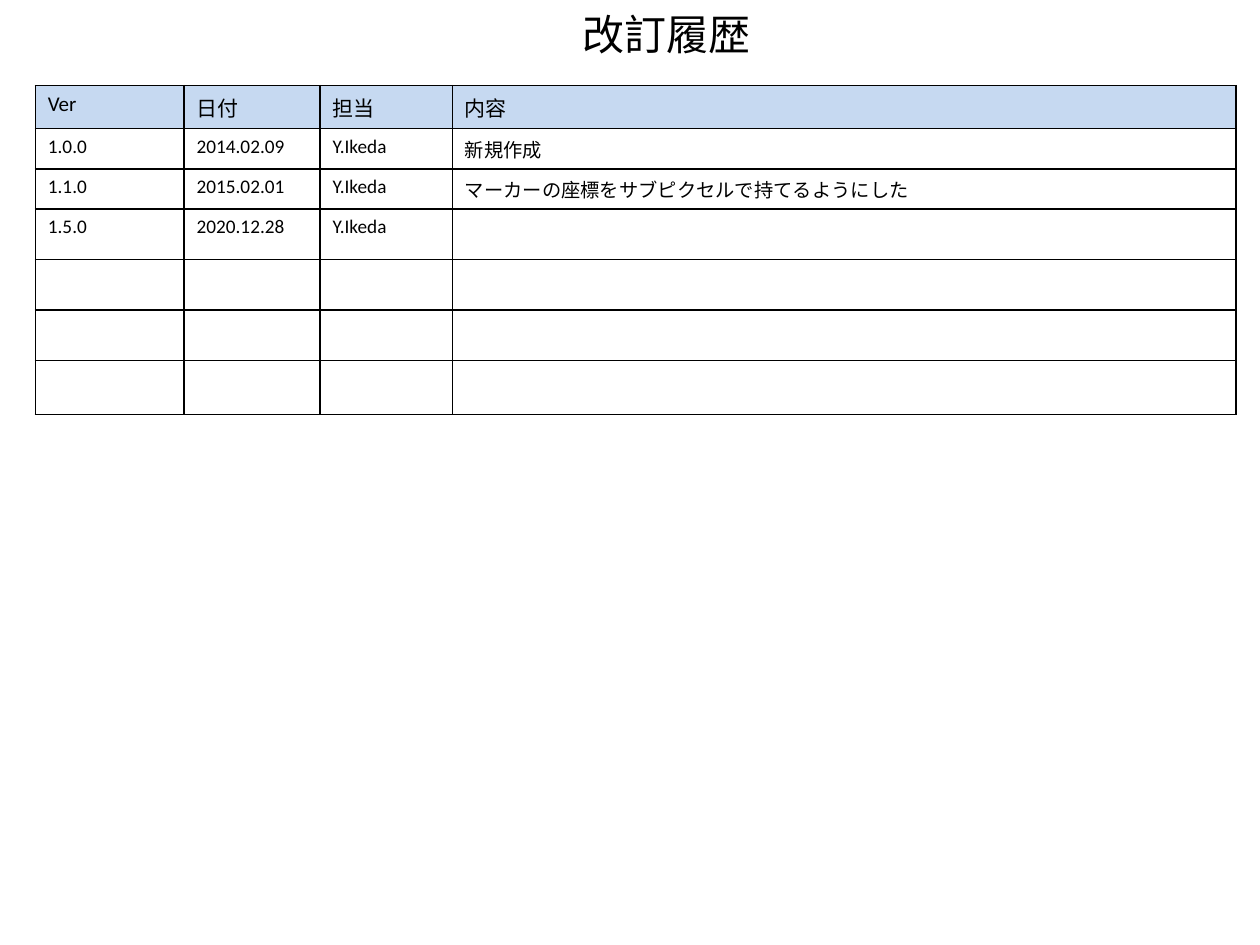
from lxml.etree import SubElement
from pptx import Presentation
from pptx.dml.color import RGBColor
from pptx.enum.text import MSO_ANCHOR, MSO_AUTO_SIZE, PP_ALIGN
from pptx.oxml.ns import qn
from pptx.util import Inches, Pt

COLUMN_WIDTHS = [1.18, 1.08, 1.05, 6.22]
ROW_HEIGHTS = [0.34, 0.32, 0.32, 0.29, 0.29, 0.29, 0.43]
HISTORY = [
    ["Ver", "日付", "担当", "内容"],
    ["1.0.0", "2014.02.09", "Y.Ikeda", "新規作成"],
    ["1.1.0", "2015.02.01", "Y.Ikeda", "マーカーの座標をサブピクセルで持てるようにした"],
    ["1.5.0", "2020.12.28", "Y.Ikeda", ""],
    *[[""] * 4 for _ in range(3)],
]


def color(value):
    """Return the colour for a hex string."""
    return RGBColor.from_string(value)


def write_text(frame, text, size):
    """Write one left-aligned run in black Calibri."""
    para = frame.paragraphs[0]
    para.alignment = PP_ALIGN.LEFT
    span = para.add_run()
    span.text = text
    for name, value in {"name": "Calibri", "size": Pt(size), "bold": False}.items():
        setattr(span.font, name, value)
    span.font.color.rgb = color("000000")


def add_title(page, text):
    """Place and format the title placeholder."""
    box = page.shapes.title
    place = {"left": 4.52, "top": 0.02, "width": 1.55, "height": 0.5}
    for name, value in place.items():
        setattr(box, name, Inches(value))
    frame = box.text_frame
    layout = {"word_wrap": False, "auto_size": MSO_AUTO_SIZE.SHAPE_TO_FIT_TEXT,
              "vertical_anchor": MSO_ANCHOR.TOP}
    for name, value in layout.items():
        setattr(frame, name, value)
    write_text(frame, text, 24)


def add_borders(cell, value, width):
    """Draw a solid line on all four sides of a cell."""
    properties = cell._tc.get_or_add_tcPr()
    for side in ("lnL", "lnR", "lnT", "lnB"):
        line = SubElement(properties, qn(f"a:{side}"), w=str(Pt(width)))
        SubElement(SubElement(line, qn("a:solidFill")), qn("a:srgbClr"), val=value)


def format_cell(cell, text, is_header):
    """Fill in a cell with its text, borders and background."""
    write_text(cell.text_frame, text, 12 if is_header else 11)
    add_borders(cell, "000000", 1)
    if is_header:
        cell.fill.solid()
        cell.fill.fore_color.rgb = color("C6D9F1")
    else:
        cell.fill.background()


def add_history_table(page):
    """Add the table of revisions."""
    table = page.shapes.add_table(
        len(ROW_HEIGHTS), len(COLUMN_WIDTHS), Inches(0.28), Inches(0.68),
        Inches(sum(COLUMN_WIDTHS)), Inches(sum(ROW_HEIGHTS))).table
    for column, width in zip(table.columns, COLUMN_WIDTHS):
        column.width = Inches(width)
    for index, (row, height) in enumerate(zip(table.rows, ROW_HEIGHTS)):
        row.height = Inches(height)
        for cell, text in zip(row.cells, HISTORY[index]):
            format_cell(cell, text, index == 0)


def main():
    """Build the revision history slide."""
    deck = Presentation()
    deck.slide_width, deck.slide_height = Inches(10), Inches(7.5)
    page = deck.slides.add_slide(deck.slide_layouts[5])
    add_title(page, "改訂履歴")
    add_history_table(page)
    deck.save("out.pptx")


if __name__ == "__main__":
    main()
